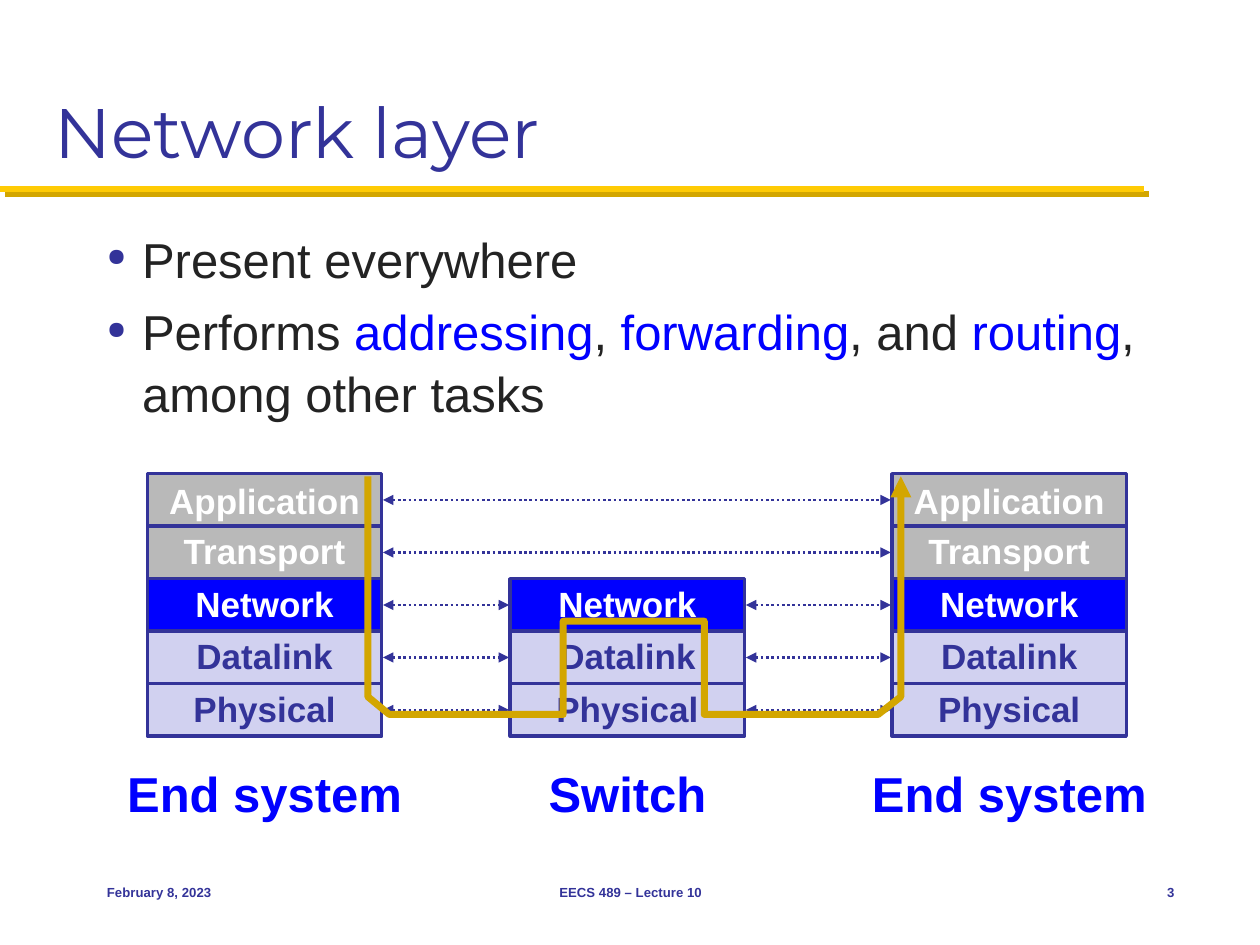
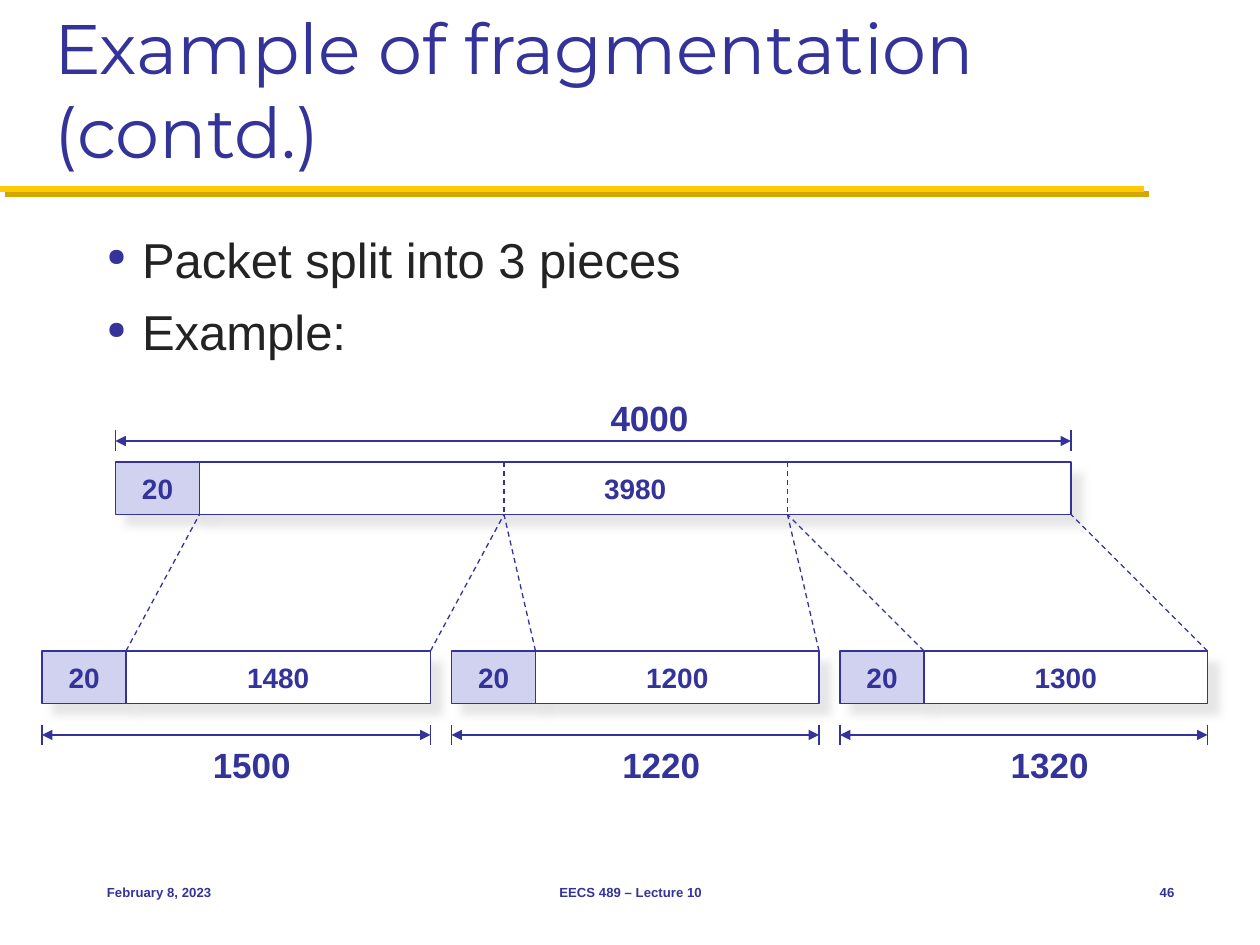
"""Build two lecture slides: the network layer and packet fragmentation."""
from dataclasses import dataclass
from typing import Any, Optional

from lxml import etree
from pptx import Presentation
from pptx.dml.color import RGBColor
from pptx.enum.dml import MSO_LINE
from pptx.enum.shapes import MSO_CONNECTOR, MSO_SHAPE
from pptx.enum.text import MSO_ANCHOR, MSO_AUTO_SIZE, PP_ALIGN
from pptx.oxml.ns import qn
from pptx.util import Inches, Pt

STRAIGHT = MSO_CONNECTOR.STRAIGHT
RECTANGLE = MSO_SHAPE.RECTANGLE
DOTTED, DASHED = MSO_LINE.ROUND_DOT, MSO_LINE.DASH
TOP, MIDDLE, BOTTOM = MSO_ANCHOR.TOP, MSO_ANCHOR.MIDDLE, MSO_ANCHOR.BOTTOM
LEFT, CENTER, RIGHT = PP_ALIGN.LEFT, PP_ALIGN.CENTER, PP_ALIGN.RIGHT
NO_AUTOFIT = MSO_AUTO_SIZE.NONE
TWELFTH = 1 / 12


@dataclass(frozen=True)
class Theme:
    """Fonts, colours and type sizes of the deck."""
    heading_font: str = "Montserrat"
    font: str = "Arial"
    navy: str = "333399"
    ink: str = "232323"
    blue: str = "0000FF"
    grey: str = "B9B9B9"
    lilac: str = "D1D1F0"
    white: str = "FFFFFF"
    yellow: str = "FFCB05"
    gold: str = "D3A600"
    shade: str = "CECECE"
    title_size: float = 40
    body_size: float = 28
    label_size: float = 20
    field_size: float = 16
    footer_size: float = 7.5


@dataclass(frozen=True)
class Shadow:
    """Outer shadow: colour, opacity in percent, blur and distance in points."""
    color: str
    opacity: int
    blur: float
    distance: float


@dataclass(frozen=True)
class Span:
    """A piece of text in one colour."""
    text: str
    color: str


@dataclass(frozen=True)
class Layer:
    """One protocol layer of a stack."""
    name: str
    fill: str
    color: str
    label_width: float
    label_shift: float = -0.02


@dataclass(frozen=True)
class Stack:
    """A column of layers, starting at a layer index, above its caption."""
    caption: str
    left: float
    first_layer: int
    caption_width: float


@dataclass(frozen=True)
class Fragment:
    """A packet fragment: payload, total length and payload width."""
    payload: str
    total: str
    width: float


THEME = Theme()
BAND_SHADOW = Shadow(THEME.gold, 100, 0, 4.2)
FIELD_SHADOW = Shadow(THEME.shade, 50, 5, 8.5)

LAYERS = [
    Layer("Application", THEME.grey, THEME.white, 1.73, 0),
    Layer("Transport", THEME.grey, THEME.white, 1.5),
    Layer("Network", THEME.blue, THEME.white, 1.31),
    Layer("Datalink", THEME.lilac, THEME.navy, 1.29),
    Layer("Physical", THEME.lilac, THEME.navy, 1.34),
]
STACKS = [
    Stack("End system", 1.17, 0, 2.41),
    Stack("Switch", 4.05, 2, 1.47),
    Stack("End system", 7.08, 0, 2.41),
]
STACK_TOP, LAYER_WIDTH, LAYER_HEIGHT = 3.76, 1.86, 5 * TWELFTH
ROUTE = [
    (2.92, 3.78), (2.92, 5.53), (3.09, 5.67), (4.47, 5.67), (4.47, 4.93),
    (5.59, 4.93), (5.59, 5.67), (6.97, 5.67), (7.15, 5.53), (7.15, 3.78),
]

FRAGMENTS = [
    Fragment("1480", "1500", 29 * TWELFTH),
    Fragment("1200", "1220", 27 * TWELFTH),
    Fragment("1300", "1320", 27 * TWELFTH),
]
HEADER_WIDTH, FIELD_HEIGHT = 8 * TWELFTH, 5 * TWELFTH
PACKET_LEFT, PACKET_TOP = 11 * TWELFTH, 44 * TWELFTH
FRAGMENT_LEFT, FRAGMENT_TOP, FRAGMENT_GAP = 4 * TWELFTH, 62 * TWELFTH, 2 * TWELFTH


def rgb(color: str) -> RGBColor:
    """Turn a hex string into a colour."""
    return RGBColor.from_string(color)


def style_paragraph(paragraph: Any, size: float, color: str, align: Any = LEFT,
                    bold: bool = False, font: str = THEME.font) -> None:
    """Set the font and alignment of a paragraph."""
    paragraph.alignment = align
    paragraph.font.name = font
    paragraph.font.size = Pt(size)
    paragraph.font.bold = bold
    paragraph.font.color.rgb = rgb(color)


def style_line(line: Any, color: str, width: float, dash: Optional[Any] = None,
               ends: tuple[str, ...] = ()) -> None:
    """Set a line's colour, width, dash and arrowheads."""
    line.color.rgb = rgb(color)
    line.width = Pt(width)
    if dash is not None:
        line.dash_style = dash
    for end in ends:
        etree.SubElement(line._get_or_add_ln(), qn(f"a:{end}"), type="triangle")


def set_shadow(shape: Any, shadow: Optional[Shadow] = None) -> None:
    """Replace the theme's shadow by the given one, or by none."""
    effects = etree.SubElement(shape._element.spPr, qn("a:effectLst"))
    if shadow:
        outer = etree.SubElement(effects, qn("a:outerShdw"), blurRad=str(Pt(shadow.blur)),
                                 dist=str(Pt(shadow.distance)), dir="2700000",
                                 algn="ctr", rotWithShape="0")
        color = etree.SubElement(outer, qn("a:srgbClr"), val=shadow.color)
        etree.SubElement(color, qn("a:alpha"), val=str(shadow.opacity * 1000))


def add_line(shapes: Any, start: tuple[float, float], end: tuple[float, float],
             width: float, color: str = THEME.navy, dash: Optional[Any] = None,
             arrows: bool = False, shadow: Optional[Shadow] = None) -> None:
    """Draw a straight line, with arrowheads at both ends on request."""
    line = shapes.add_connector(STRAIGHT, *map(Inches, (*start, *end)))
    style_line(line.line, color, width, dash, ("headEnd", "tailEnd") if arrows else ())
    set_shadow(line, shadow)


def add_box(shapes: Any, left: float, top: float, width: float, height: float,
            fill: str, line_width: float, shadow: Optional[Shadow] = None) -> Any:
    """Draw a filled rectangle with a navy outline."""
    box = shapes.add_shape(RECTANGLE, *map(Inches, (left, top, width, height)))
    box.fill.solid()
    box.fill.fore_color.rgb = rgb(fill)
    style_line(box.line, THEME.navy, line_width)
    set_shadow(box, shadow)
    return box


def add_label(shapes: Any, text: str, left: float, top: float, width: float,
              height: float, size: float, color: str, align: Any = CENTER,
              anchor: Any = TOP) -> None:
    """Write one bold line of text."""
    frame = shapes.add_textbox(*map(Inches, (left, top, width, height))).text_frame
    frame.word_wrap = False
    frame.vertical_anchor = anchor
    frame.text = text
    style_paragraph(frame.paragraphs[0], size, color, align, bold=True)


def add_bullets(shapes: Any, items: list[list[Span]]) -> None:
    """Write the bulleted body text."""
    frame = shapes.add_textbox(*map(Inches, (0.75, 1.75, 8.67, 4.83))).text_frame
    frame.word_wrap = True
    for index, spans in enumerate(items):
        paragraph = frame.add_paragraph() if index else frame.paragraphs[0]
        paragraph.line_spacing = 1.05
        paragraph.space_before = Pt(6)
        properties = paragraph._p.get_or_add_pPr()
        properties.set("marL", str(Inches(0.28)))
        properties.set("indent", str(-Inches(0.28)))
        bullet_color = etree.SubElement(properties, qn("a:buClr"))
        etree.SubElement(bullet_color, qn("a:srgbClr"), val=THEME.navy)
        etree.SubElement(properties, qn("a:buSzPct"), val="50000")
        etree.SubElement(properties, qn("a:buChar"), char="●")
        style_paragraph(paragraph, THEME.body_size, THEME.ink)
        for span in spans:
            run = paragraph.add_run()
            run.text = span.text
            if span.color != THEME.ink:
                run.font.color.rgb = rgb(span.color)


def add_page(deck: Any, title: str, number: int, items: list[list[Span]]) -> Any:
    """Add a slide with title, band, bullets and footer; return its shapes."""
    page = deck.slides.add_slide(deck.slide_layouts[5])
    shapes = page.shapes
    heading = shapes.title
    heading.left, heading.top, heading.width, heading.height = map(
        Inches, (0.33, 0.17, 9.33, 1.25))
    frame = heading.text_frame
    frame.word_wrap = True
    frame.auto_size = NO_AUTOFIT
    frame.vertical_anchor = BOTTOM
    frame.text = title
    style_paragraph(frame.paragraphs[0], THEME.title_size, THEME.navy,
                    font=THEME.heading_font)
    add_line(shapes, (0, 1.5), (9.08, 1.5), 3.5, THEME.yellow, shadow=BAND_SHADOW)
    add_bullets(shapes, items)
    for text, left, width, align in (
        ("February 8, 2023", 0.75, 2.08, LEFT),
        ("EECS 489 – Lecture 10", 3.42, 3.17, CENTER),
        (str(number), 8.75, 0.67, RIGHT),
    ):
        add_label(shapes, text, left, 6.83, width, 0.5, THEME.footer_size,
                  THEME.navy, align, MIDDLE)
    return shapes


def add_stack(shapes: Any, stack: Stack) -> None:
    """Draw the layers of one system and its caption."""
    center = stack.left + LAYER_WIDTH / 2
    for index, layer in enumerate(LAYERS[stack.first_layer:], stack.first_layer):
        top = STACK_TOP + index * LAYER_HEIGHT
        add_box(shapes, stack.left, top, LAYER_WIDTH, LAYER_HEIGHT, layer.fill, 2)
        add_label(shapes, layer.name, center - layer.label_width / 2,
                  top + layer.label_shift, layer.label_width, 0.44,
                  THEME.label_size, layer.color)
    add_label(shapes, stack.caption, center - stack.caption_width / 2, 6.01,
              stack.caption_width, 0.57, THEME.body_size, THEME.blue)


def add_peer_arrows(shapes: Any, near: Stack, far: Stack, layers: range) -> None:
    """Join the same layers of two systems."""
    for index in layers:
        height = STACK_TOP + (index + 0.5) * LAYER_HEIGHT
        add_line(shapes, (near.left + LAYER_WIDTH + 0.01, height),
                 (far.left - 0.01, height), 1.5, dash=DOTTED, arrows=True)


def add_route(shapes: Any) -> None:
    """Draw the path of the data through the stacks."""
    points = [(Inches(x), Inches(y)) for x, y in ROUTE]
    builder = shapes.build_freeform(*points[0])
    builder.add_line_segments(points[1:], close=False)
    route = builder.convert_to_shape()
    route.fill.background()
    style_line(route.line, THEME.gold, 4, ends=("tailEnd",))
    set_shadow(route)


def add_packet(shapes: Any, left: float, top: float, payload: str, width: float) -> None:
    """Draw a packet's header and payload fields."""
    for text, start, size, fill in (("20", left, HEADER_WIDTH, THEME.lilac),
                                    (payload, left + HEADER_WIDTH, width, THEME.white)):
        frame = add_box(shapes, start, top, size, FIELD_HEIGHT, fill, 0.75,
                        FIELD_SHADOW).text_frame
        frame.word_wrap = False
        frame.vertical_anchor = MIDDLE
        frame.text = text
        style_paragraph(frame.paragraphs[0], THEME.field_size, THEME.navy, CENTER, bold=True)


def add_ruler(shapes: Any, left: float, right: float, height: float, text: str,
              text_left: float, text_top: float) -> None:
    """Draw a dimension line with end ticks and its length."""
    for x in (left, right):
        add_line(shapes, (x, height - TWELFTH), (x, height + TWELFTH), 0.75)
    add_line(shapes, (left, height), (right, height), 0.75, arrows=True)
    add_label(shapes, text, text_left, text_top, 0.83, 0.44, THEME.label_size, THEME.navy)


def build_layers(deck: Any) -> None:
    """Build the network layer slide."""
    performs = [Span("Performs ", THEME.ink), Span("addressing", THEME.blue),
                Span(", ", THEME.ink), Span("forwarding", THEME.blue),
                Span(", and ", THEME.ink), Span("routing", THEME.blue),
                Span(", among other tasks", THEME.ink)]
    shapes = add_page(deck, "Network layer", 3,
                      [[Span("Present everywhere", THEME.ink)], performs])
    for stack in STACKS:
        add_stack(shapes, stack)
    sender, switch, receiver = STACKS
    add_peer_arrows(shapes, sender, receiver, range(2))
    add_peer_arrows(shapes, sender, switch, range(2, 5))
    add_peer_arrows(shapes, switch, receiver, range(2, 5))
    add_route(shapes)


def build_fragmentation(deck: Any) -> None:
    """Build the fragmentation slide."""
    shapes = add_page(deck, "Example of fragmentation (contd.)", 46,
                      [[Span("Packet split into 3 pieces", THEME.ink)],
                       [Span("Example:", THEME.ink)]])
    payload_width = sum(fragment.width for fragment in FRAGMENTS)
    cut = PACKET_LEFT + HEADER_WIDTH
    add_packet(shapes, PACKET_LEFT, PACKET_TOP, "3980", payload_width)
    add_ruler(shapes, PACKET_LEFT, cut + payload_width, 3.5, "4000", 4.74, 3.1)
    left, packet_bottom = FRAGMENT_LEFT, PACKET_TOP + FIELD_HEIGHT
    for index, fragment in enumerate(FRAGMENTS):
        group = shapes.add_group_shape().shapes
        start = left + HEADER_WIDTH
        end = start + fragment.width
        add_packet(group, left, FRAGMENT_TOP, fragment.payload, fragment.width)
        add_ruler(group, left, end, 70 * TWELFTH, fragment.total, left + 1.25, 5.85)
        for x, source in ((start, cut), (end, cut + fragment.width)):
            add_line(group, (x, FRAGMENT_TOP), (source, packet_bottom), 0.75, dash=DASHED)
        if index:
            add_line(shapes, (cut, PACKET_TOP), (cut, packet_bottom), 0.75, dash=DASHED)
        cut += fragment.width
        left = end + FRAGMENT_GAP


def main() -> None:
    """Build and save the deck."""
    deck = Presentation()
    deck.slide_width, deck.slide_height = Inches(10), Inches(7.5)
    build_layers(deck)
    build_fragmentation(deck)
    deck.save("out.pptx")


main()
